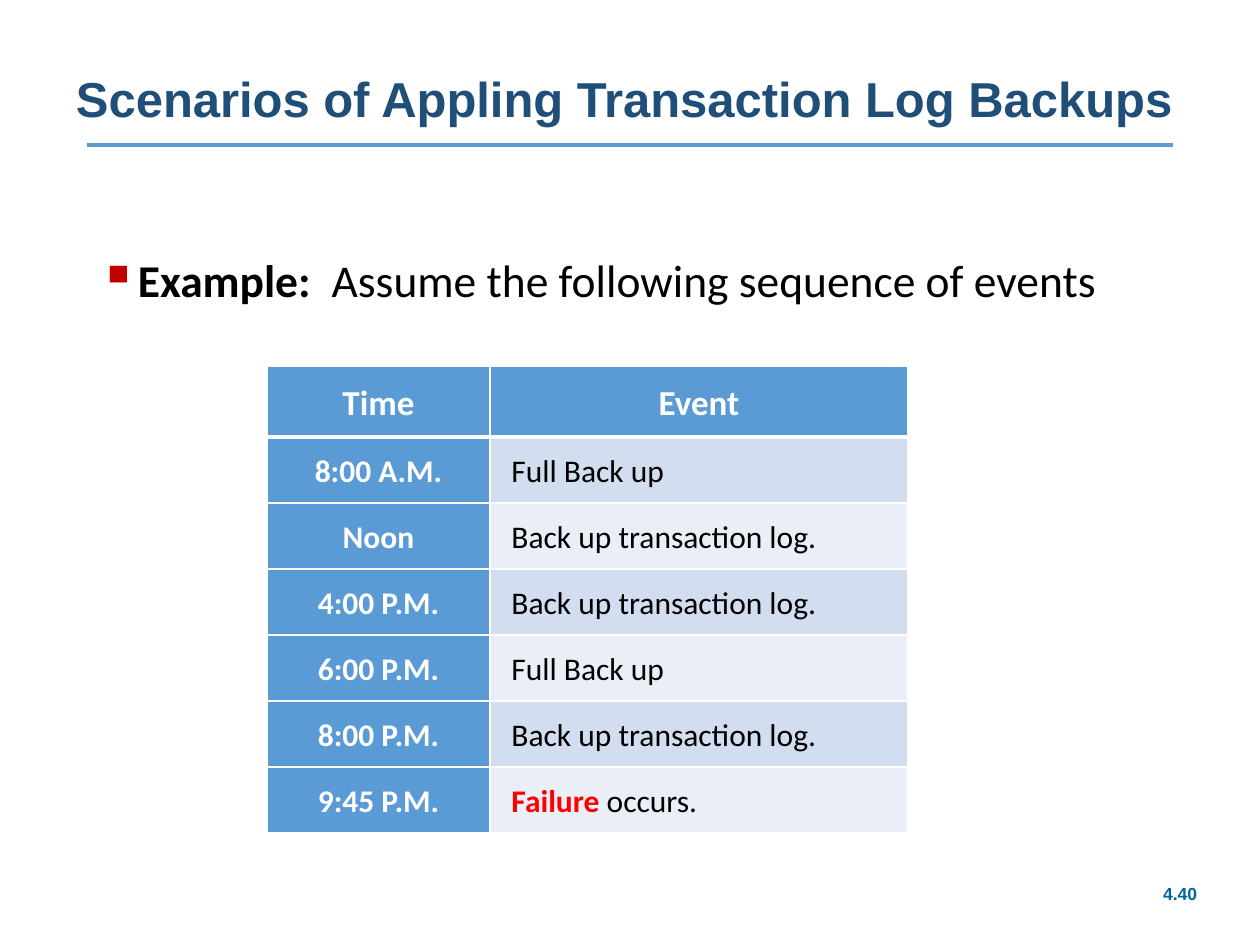
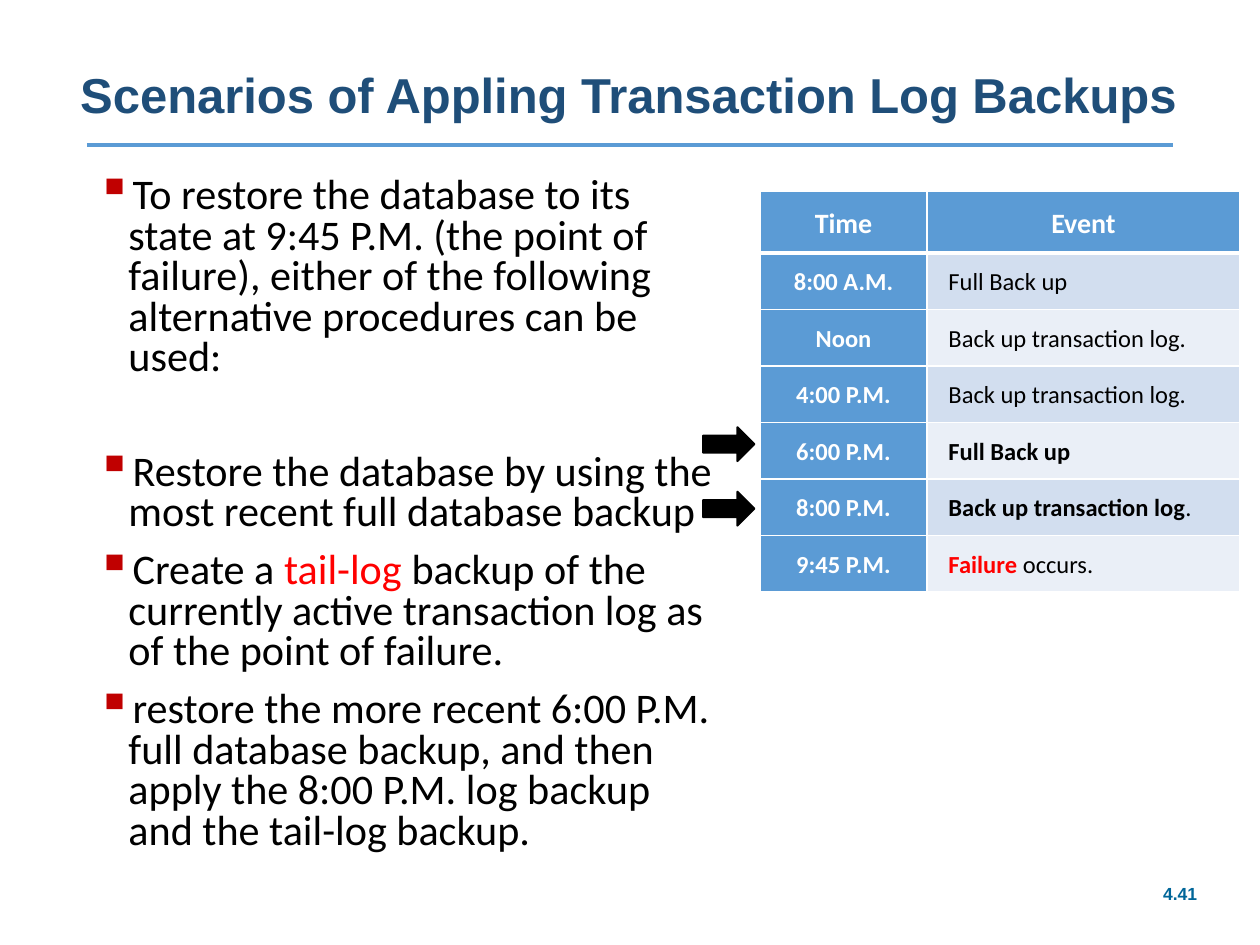
from lxml.etree import SubElement
from pptx import Presentation
from pptx.dml.color import RGBColor
from pptx.enum.shapes import MSO_CONNECTOR as Connector, MSO_SHAPE as Shape
from pptx.enum.text import MSO_ANCHOR as Anchor, PP_ALIGN as Align
from pptx.oxml import parse_xml
from pptx.oxml.ns import nsdecls, qn
from pptx.util import Cm, Pt

WHITE = RGBColor(0xFF, 0xFF, 0xFF)
BLACK = RGBColor(0x00, 0x00, 0x00)
RED = RGBColor(0xFF, 0x00, 0x00)
BULLET_RED = RGBColor(0xC0, 0x00, 0x00)
NAVY = RGBColor(0x1F, 0x4E, 0x79)
TEAL = RGBColor(0x00, 0x66, 0x99)
BLUE = RGBColor(0x5B, 0x9B, 0xD5)
BANDS = (RGBColor(0xD2, 0xDE, 0xEF), RGBColor(0xEA, 0xEF, 0xF7))

TITLE = "Scenarios of Appling Transaction Log Backups"
TIMES = ("8:00 A.M.", "Noon", "4:00 P.M.", "6:00 P.M.", "8:00 P.M.", "9:45 P.M.")
FULL = "Full Back up"
LOG = "Back up transaction log"
FAILURE = [("Failure", RED, True), (" occurs.", BLACK, False)]


def plain(text):
    return [(text, BLACK, False)]


def bold(text):
    return [(text, BLACK, True)]


class Pages:
    heading_font = "Arial"
    body_font = "Calibri"

    def __init__(self):
        self.deck = Presentation()
        self.deck.slide_width = Cm(25.4)
        self.deck.slide_height = Cm(19.05)
        self.page = None

    def start(self, number, title_left, title_top, title_width, title_height):
        self.page = self.deck.slides.add_slide(self.deck.slide_layouts[6])
        self.label(number, 23.14, 17.7, 1.3, 0.69, 10, TEAL)
        self.rule(1.75, 23.65, 2.92)
        self.label(TITLE, title_left, title_top, title_width, title_height, 28, NAVY)

    def frame(self, left, top, width, height):
        box = self.page.shapes.add_textbox(Cm(left), Cm(top), Cm(width), Cm(height))
        box.text_frame.word_wrap = True
        return box.text_frame

    def add_spans(self, para, spans, font, size):
        para.font.size = Pt(size)
        for text, color, is_bold in spans:
            span = para.add_run()
            span.text = text
            span.font.name = font
            span.font.size = Pt(size)
            span.font.bold = is_bold
            span.font.color.rgb = color

    def label(self, text, left, top, width, height, size, color):
        frame = self.frame(left, top, width, height)
        frame.vertical_anchor = Anchor.MIDDLE
        para = frame.paragraphs[0]
        para.alignment = Align.CENTER
        para.line_spacing = 0.9
        self.add_spans(para, [(text, color, True)], self.heading_font, size)

    def rule(self, left, right, top):
        line = self.page.shapes.add_connector(
            Connector.STRAIGHT, Cm(left), Cm(top), Cm(right), Cm(top))
        line.line.color.rgb = BLUE
        line.line.width = Pt(2.5)
        SubElement(line._element.spPr, qn("a:effectLst"))

    def bullets(self, items, left, top, width, height, size, spacing):
        frame = self.frame(left, top, width, height)
        for index, (spans, gap) in enumerate(items):
            para = frame.add_paragraph() if index else frame.paragraphs[0]
            para.line_spacing = spacing
            para.space_before = Pt(gap)
            properties = para._p.get_or_add_pPr()
            properties.set("marL", str(Cm(0.64)))
            properties.set("indent", str(-Cm(0.64)))
            color = SubElement(properties, qn("a:buClr"))
            SubElement(color, qn("a:srgbClr"), val=str(BULLET_RED))
            SubElement(properties, qn("a:buSzPct"), val="114000")
            SubElement(properties, qn("a:buChar"), char="▪")
            self.add_spans(para, spans, self.body_font, size)

    def cell(self, cell, spans, size, fill, align, is_header):
        cell.fill.solid()
        cell.fill.fore_color.rgb = fill
        cell.margin_left = cell.margin_right = Cm(0.43)
        cell.margin_top = cell.margin_bottom = Cm(0.25)
        cell.vertical_anchor = Anchor.BOTTOM if is_header else Anchor.TOP
        para = cell.text_frame.paragraphs[0]
        para.alignment = align
        para.line_spacing = 1.07
        self.add_spans(para, spans, self.body_font, size)
        properties = cell._tc.get_or_add_tcPr()
        for index, side in enumerate("LRTB"):
            width = Pt(3 if is_header and side == "B" else 1)
            properties.insert(index, parse_xml(
                f'<a:ln{side} {nsdecls("a")} w="{width}"><a:solidFill>'
                f'<a:srgbClr val="{WHITE}"/></a:solidFill></a:ln{side}>'))

    def schedule(self, events, left, top, widths, size):
        sizes = [size + 2] + [size] * len(events)
        heights = [Cm(round(0.5 + 0.046 * points, 2)) for points in sizes]
        table = self.page.shapes.add_table(
            len(heights), 2, Cm(left), Cm(top), Cm(sum(widths)), sum(heights)).table
        table.horz_banding = False
        for column, width in zip(table.columns, widths):
            column.width = Cm(width)
        for row, height in zip(table.rows, heights):
            row.height = height
        for column, name in enumerate(("Time", "Event")):
            self.cell(table.cell(0, column), [(name, WHITE, True)],
                      sizes[0], BLUE, Align.CENTER, True)
        for row, (time, event) in enumerate(zip(TIMES, events), 1):
            self.cell(table.cell(row, 0), [(time, WHITE, True)],
                      size, BLUE, Align.CENTER, False)
            self.cell(table.cell(row, 1), event,
                      size, BANDS[(row - 1) % 2], Align.LEFT, False)

    def arrow(self, left, top):
        arrow = self.page.shapes.add_shape(
            Shape.RIGHT_ARROW, Cm(left), Cm(top), Cm(1.04), Cm(0.69))
        arrow.shadow.inherit = False
        arrow.fill.solid()
        arrow.fill.fore_color.rgb = BLACK
        arrow.line.color.rgb = BLACK
        arrow.line.width = Pt(1)


def main():
    pages = Pages()
    early_events = [plain(FULL), plain(LOG + "."), plain(LOG + ".")]

    pages.start("4.40", 0.75, 1.02, 23.67, 2.06)
    example = bold("Example:") + plain("  Assume the following sequence of events")
    pages.bullets([(example, 0)], 1.75, 5.08, 22.58, 12.09, 26, 0.9)
    pages.schedule(early_events + [plain(FULL), plain(LOG + "."), FAILURE],
                   5.38, 7.39, (4.5, 8.42), 18)

    pages.start("4.41", 1.05, 1.02, 23.24, 1.88)
    steps = [
        (plain("To restore the database to its state at 9:45 P.M. (the point of failure), "
               "either of the following alternative procedures can be used:"), 0),
        (plain("Restore the database by using the most recent full database backup"), 42.5),
        (plain("Create a ") + [("tail-log", RED, False)]
         + plain(" backup of the currently active transaction log as of the point of failure."), 10),
        (plain("restore the more recent 6:00 P.M. full database backup, and then apply "
               "the 8:00 P.M. log backup and the tail-log backup."), 10),
    ]
    pages.bullets(steps, 1.7, 3.45, 13, 14.27, 24.1, 0.8)
    pages.schedule(early_events + [bold(FULL), bold(LOG) + plain("."), FAILURE],
                   15.32, 3.86, (3.37, 6.3), 14)
    for top in (8.61, 9.91):
        pages.arrow(14.17, top)

    pages.deck.save("out.pptx")


if __name__ == "__main__":
    main()
